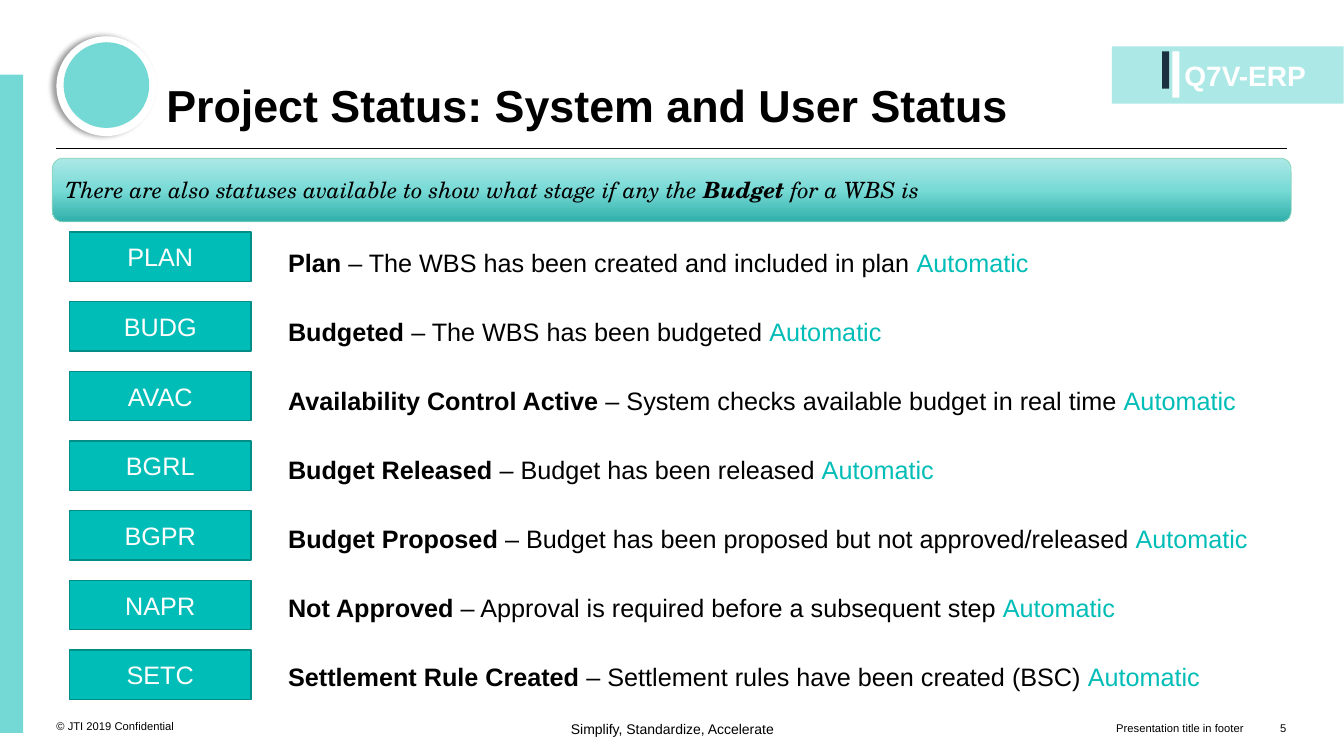
from copy import deepcopy
from dataclasses import dataclass
from typing import Any, NamedTuple

from lxml import etree
from pptx import Presentation
from pptx import util as u
from pptx.dml.color import RGBColor
from pptx.enum import shapes, text
from pptx.oxml import ns

BLACK = RGBColor(0x00, 0x00, 0x00)
WHITE = RGBColor(0xFF, 0xFF, 0xFF)
NAVY = RGBColor(0x1A, 0x30, 0x40)
TEAL = RGBColor(0x00, 0xBD, 0xB7)
TEAL_EDGE = RGBColor(0x00, 0x8C, 0x87)
AQUA = RGBColor(0x74, 0xD9, 0xD5)
PALE_AQUA = RGBColor(0xAC, 0xE8, 0xE6)
BANNER_EDGE = RGBColor(0x88, 0xD5, 0xB8)
BANNER_STOPS = (
    (0, PALE_AQUA),
    (0.5, RGBColor(0x78, 0xDA, 0xD6)),
    (1, RGBColor(0x30, 0xAF, 0xAA)),
)

RECT = shapes.MSO_SHAPE.RECTANGLE
ROUNDED = shapes.MSO_SHAPE.ROUNDED_RECTANGLE
OVAL = shapes.MSO_SHAPE.OVAL
LEFT, CENTER, RIGHT = text.PP_ALIGN.LEFT, text.PP_ALIGN.CENTER, text.PP_ALIGN.RIGHT
TOP, MIDDLE, BOTTOM = text.MSO_ANCHOR.TOP, text.MSO_ANCHOR.MIDDLE, text.MSO_ANCHOR.BOTTOM

NO_INSETS = {f"margin_{side}": 0 for side in ("left", "top", "right", "bottom")}


class Box(NamedTuple):
    left: float
    top: float
    width: float
    height: float

    def lengths(self) -> list[u.Length]:
        return [u.Pt(value) for value in self]


class Run(NamedTuple):
    words: str
    color: RGBColor = BLACK
    bold: bool = False


@dataclass(frozen=True)
class Status:
    code: str
    name: str
    meaning: str
    width: float


@dataclass(frozen=True)
class Label:
    box: Box
    run: Run
    size: float
    align: Any = LEFT
    anchor: Any = BOTTOM
    spacing: float = 1.0


@dataclass(frozen=True)
class Block:
    kind: Any
    box: Box
    fill: RGBColor


STATUSES = (
    Status("PLAN", "Plan", "The WBS has been created and included in plan", 662.4),
    Status("BUDG", "Budgeted", "The WBS has been budgeted", 504),
    Status("AVAC", "Availability Control Active",
           "System checks available budget in real time", 703.4),
    Status("BGRL", "Budget Released", "Budget has been released", 679.7),
    Status("BGPR", "Budget Proposed",
           "Budget has been proposed but not approved/released", 735.8),
    Status("NAPR", "Not Approved", "Approval is required before a subsequent step", 679.7),
    Status("SETC", "Settlement Rule Created",
           "Settlement rules have been created (BSC)", 712.1),
)
TAG_TOP, TAG_PITCH = 165.6, 49.8
MEANING_TOP, MEANING_PITCH = 172.8, 49.3

BLOCKS = (
    Block(RECT, Box(794.2, 33.1, 165.6, 41), PALE_AQUA),
    Block(RECT, Box(830.2, 36.7, 5, 26.6), NAVY),
    Block(RECT, Box(837.4, 36.7, 5, 33.1), WHITE),
    Block(RECT, Box(0, 53.3, 16.6, 470.2), AQUA),
    Block(OVAL, Box(40.3, 25.9, 71.3, 71.3), WHITE),
    Block(OVAL, Box(45.4, 30.2, 61.2, 61.2), AQUA),
)
LABELS = (
    Label(Box(40.3, 494.6, 141.8, 28.8), Run("© JTI 2019 Confidential"), 8),
    Label(Box(370.1, 514.8, 220.3, 21.6), Run("Simplify, Standardize, Accelerate"),
          10, CENTER, TOP),
    Label(Box(846, 41.8, 90, 36), Run("Q7V-ERP", WHITE, True), 20, anchor=TOP),
    Label(Box(118.8, 16.6, 701.3, 77.8),
          Run("Project Status: System and User Status", bold=True), 32, spacing=0.9),
    Label(Box(557.3, 496.1, 331.2, 28.8), Run("Presentation title in footer"), 8, RIGHT),
    Label(Box(887.8, 496.1, 31, 28.8), Run("5"), 8, RIGHT),
)


def set_all(target: Any, values: dict[str, Any]) -> None:
    for name, value in values.items():
        setattr(target, name, value)


def write(frame: Any, runs: tuple[Run, ...], font: dict[str, Any],
          frame_format: dict[str, Any], align: Any = LEFT, spacing: float = 1.0) -> None:
    set_all(frame, {"word_wrap": True, **frame_format})
    paragraph = frame.paragraphs[0]
    set_all(paragraph, {"alignment": align, "line_spacing": spacing})
    for part in runs:
        run = paragraph.add_run()
        run.text = part.words
        set_all(run.font, {"name": "Arial", "bold": part.bold, **font})
        run.font.color.rgb = part.color


def add_block(slide: Any, block: Block) -> Any:
    shape = slide.shapes.add_shape(block.kind, *block.box.lengths())
    shape.shadow.inherit = False
    shape.fill.solid()
    shape.fill.fore_color.rgb = block.fill
    shape.line.fill.background()
    return shape


def add_edge(shape: Any, color: RGBColor, width: float) -> None:
    shape.line.color.rgb = color
    shape.line.width = u.Pt(width)


def add_label(slide: Any, label: Label) -> None:
    frame = slide.shapes.add_textbox(*label.box.lengths()).text_frame
    write(frame, (label.run,), {"size": u.Pt(label.size)},
          {"vertical_anchor": label.anchor, **NO_INSETS}, label.align, label.spacing)


def add_soft_shadow(shape: Any) -> None:
    effects = shape._element.spPr.find(ns.qn("a:effectLst"))
    shadow = etree.SubElement(effects, ns.qn("a:outerShdw"), blurRad=str(u.Pt(4)),
                              dist=str(u.Pt(3)), dir="10800000", rotWithShape="0")
    color = etree.SubElement(shadow, ns.qn("a:srgbClr"), val=str(BLACK))
    etree.SubElement(color, ns.qn("a:alpha"), val="40000")


def add_title_rule(slide: Any) -> None:
    rule = slide.shapes.add_connector(shapes.MSO_CONNECTOR.STRAIGHT,
                                      *Box(40.3, 105.8, 919.4, 105.8).lengths())
    add_edge(rule, BLACK, 0.75)
    etree.SubElement(rule._element.spPr, ns.qn("a:effectLst"))


def add_banner(slide: Any) -> None:
    banner = add_block(slide, Block(ROUNDED, Box(37.4, 113, 884.9, 45.4), PALE_AQUA))
    add_edge(banner, BANNER_EDGE, 0.5)
    banner.fill.gradient()
    banner.fill.gradient_angle = 270
    stop_list = next(banner._element.spPr.iter(ns.qn("a:gsLst")))
    stop_list.append(deepcopy(stop_list[0]))
    for stop, (position, color) in zip(banner.fill.gradient_stops, BANNER_STOPS):
        stop.position = position
        stop.color.rgb = color
    write(banner.text_frame,
          (Run("There are also statuses available to show what stage if any the "),
           Run("Budget ", bold=True), Run("for a WBS is")),
          {"name": "TeX Gyre Schola", "size": u.Pt(16), "italic": True},
          {"vertical_anchor": MIDDLE})


def add_status(slide: Any, index: int, status: Status) -> None:
    tag_box = Box(49.7, TAG_TOP + index * TAG_PITCH, 129.6, 35.3)
    tag = add_block(slide, Block(RECT, tag_box, TEAL))
    add_edge(tag, TEAL_EDGE, 1)
    font = {"size": u.Pt(18)}
    write(tag.text_frame, (Run(status.code, WHITE),), font,
          {"vertical_anchor": MIDDLE}, CENTER)
    meaning_box = Box(198.7, MEANING_TOP + index * MEANING_PITCH, status.width, 23)
    meaning = slide.shapes.add_textbox(*meaning_box.lengths())
    write(meaning.text_frame,
          (Run(f"{status.name} ", bold=True), Run(f"– {status.meaning} "),
           Run("Automatic", TEAL)),
          font, {"auto_size": text.MSO_AUTO_SIZE.SHAPE_TO_FIT_TEXT})


def main() -> None:
    deck = Presentation()
    set_all(deck, {"slide_width": u.Pt(960), "slide_height": u.Pt(540)})
    slide = deck.slides.add_slide(deck.slide_layouts[6])
    add_title_rule(slide)
    for block in BLOCKS:
        shape = add_block(slide, block)
        if block.kind == OVAL and block.fill == WHITE:
            add_soft_shadow(shape)
    for label in LABELS:
        add_label(slide, label)
    add_banner(slide)
    for index, status in enumerate(STATUSES):
        add_status(slide, index, status)
    deck.save("out.pptx")


if __name__ == "__main__":
    main()
